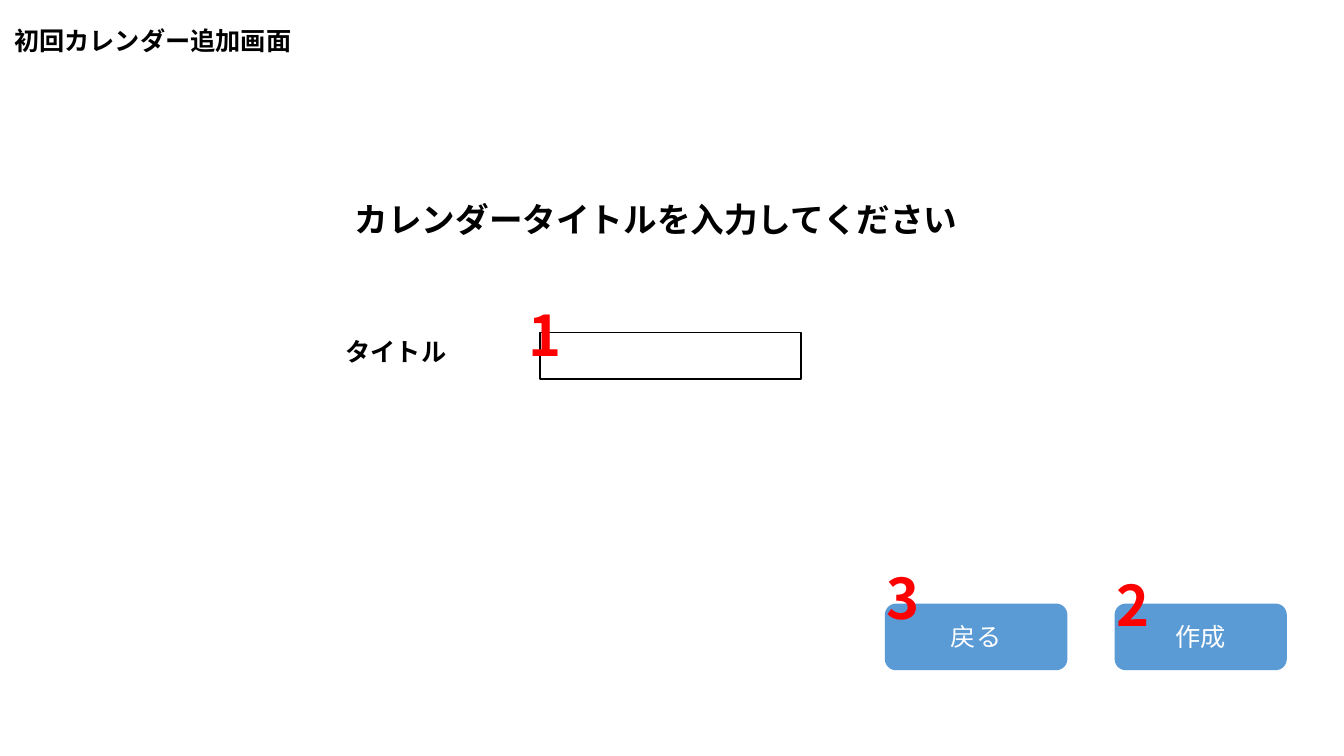
from dataclasses import dataclass

import pptx
import pptx.dml.color
import pptx.enum.shapes
import pptx.enum.text
import pptx.oxml
import pptx.oxml.ns
import pptx.presentation
import pptx.shapes.autoshape
import pptx.slide
import pptx.text.text
import pptx.util
from pptx.util import Cm

RGB = pptx.dml.color.RGBColor
ALIGN = pptx.enum.text.PP_ALIGN
ANCHOR = pptx.enum.text.MSO_ANCHOR
SHAPE = pptx.enum.shapes.MSO_SHAPE


@dataclass(frozen=True)
class Theme:
    ink: RGB = RGB(0, 0, 0)
    paper: RGB = RGB(255, 255, 255)
    button: RGB = RGB(0x5B, 0x9B, 0xD5)
    marker: RGB = RGB(255, 0, 0)
    body_size: int = 18
    prompt_size: int = 24
    marker_size: int = 40
    japanese_font: str = "Noto Sans CJK JP"
    button_font: str = "Calibri"


THEME = Theme()


@dataclass(frozen=True)
class Box:
    """A rectangle in centimetres."""
    left: float
    top: float
    width: float
    height: float

    def lengths(self) -> tuple[Cm, Cm, Cm, Cm]:
        return Cm(self.left), Cm(self.top), Cm(self.width), Cm(self.height)


@dataclass(frozen=True)
class Label:
    text: str
    box: Box
    size: int = THEME.body_size
    color: RGB = THEME.ink


@dataclass(frozen=True)
class Button:
    text: str
    left: float
    width: float


BUTTON_TOP, BUTTON_HEIGHT = 15.21, 1.68
MARKER_WIDTH, MARKER_HEIGHT = 1.98, 1.96

HEADING = Label("初回カレンダー追加画面", Box(0.1, 0.51, 9.98, 1.02))
PROMPT = Label("カレンダータイトルを入力してください",
               Box(8.69, 4.9, 16.48, 1.27), THEME.prompt_size)
FIELD_LABEL = Label("タイトル", Box(8.46, 8.36, 4.34, 1.07))
TITLE_FIELD = Box(13.61, 8.38, 6.58, 1.17)
BUTTONS = [Button("作成", 28.09, 4.34), Button("戻る", 22.3, 4.6)]
MARKERS = [
    Label(number, Box(left, top, MARKER_WIDTH, MARKER_HEIGHT),
          THEME.marker_size, THEME.marker)
    for number, left, top in [("1", 13.06, 7.44), ("2", 27.89, 14.25), ("3", 22.1, 14.07)]
]


def write(frame: pptx.text.text.TextFrame, text: str, *, size: int, color: RGB,
          font: str = THEME.japanese_font, bold: bool = True,
          align: ALIGN = ALIGN.LEFT, anchor: ANCHOR = ANCHOR.TOP,
          grow: bool = True) -> None:
    frame.word_wrap = True
    frame.vertical_anchor = anchor
    fit = pptx.enum.text.MSO_AUTO_SIZE
    frame.auto_size = fit.SHAPE_TO_FIT_TEXT if grow else fit.NONE
    paragraph = frame.paragraphs[0]
    paragraph.alignment = align
    run = paragraph.add_run()
    run.text = text
    run.font.size = pptx.util.Pt(size)
    run.font.bold = bold
    run.font.color.rgb = color
    run.font.name = font
    east_asian = pptx.oxml.parse_xml(
        f'<a:ea {pptx.oxml.ns.nsdecls("a")} typeface="{THEME.japanese_font}"/>')
    run.font._element.append(east_asian)


def add_heading(slide: pptx.slide.Slide, label: Label) -> None:
    title = slide.shapes.title
    title.left, title.top, title.width, title.height = label.box.lengths()
    write(title.text_frame, label.text, size=label.size, color=label.color)


def add_label(slide: pptx.slide.Slide, label: Label) -> None:
    frame = slide.shapes.add_textbox(*label.box.lengths()).text_frame
    write(frame, label.text, size=label.size, color=label.color)


def add_panel(slide: pptx.slide.Slide, kind: SHAPE, box: Box,
              fill: RGB) -> pptx.shapes.autoshape.Shape:
    panel = slide.shapes.add_shape(kind, *box.lengths())
    panel.shadow.inherit = False
    panel.fill.solid()
    panel.fill.fore_color.rgb = fill
    panel.line.fill.background()
    return panel


def add_title_field(slide: pptx.slide.Slide) -> None:
    field = add_panel(slide, SHAPE.RECTANGLE, TITLE_FIELD, THEME.paper)
    field.line.color.rgb = THEME.ink
    field.line.width = pptx.util.Pt(1)


def add_button(slide: pptx.slide.Slide, button: Button) -> None:
    box = Box(button.left, BUTTON_TOP, button.width, BUTTON_HEIGHT)
    panel = add_panel(slide, SHAPE.ROUNDED_RECTANGLE, box, THEME.button)
    write(panel.text_frame, button.text, size=THEME.body_size, color=THEME.paper,
          font=THEME.button_font, bold=False, align=ALIGN.CENTER,
          anchor=ANCHOR.MIDDLE, grow=False)


def build() -> pptx.presentation.Presentation:
    deck = pptx.Presentation()
    deck.slide_width, deck.slide_height = Cm(33.87), Cm(19.05)
    slide = deck.slides.add_slide(deck.slide_layouts.get_by_name("Title Only"))
    add_heading(slide, HEADING)
    add_label(slide, PROMPT)
    add_title_field(slide)
    add_label(slide, FIELD_LABEL)
    for button in BUTTONS:
        add_button(slide, button)
    for marker in MARKERS:
        add_label(slide, marker)
    return deck


if __name__ == "__main__":
    build().save("out.pptx")
